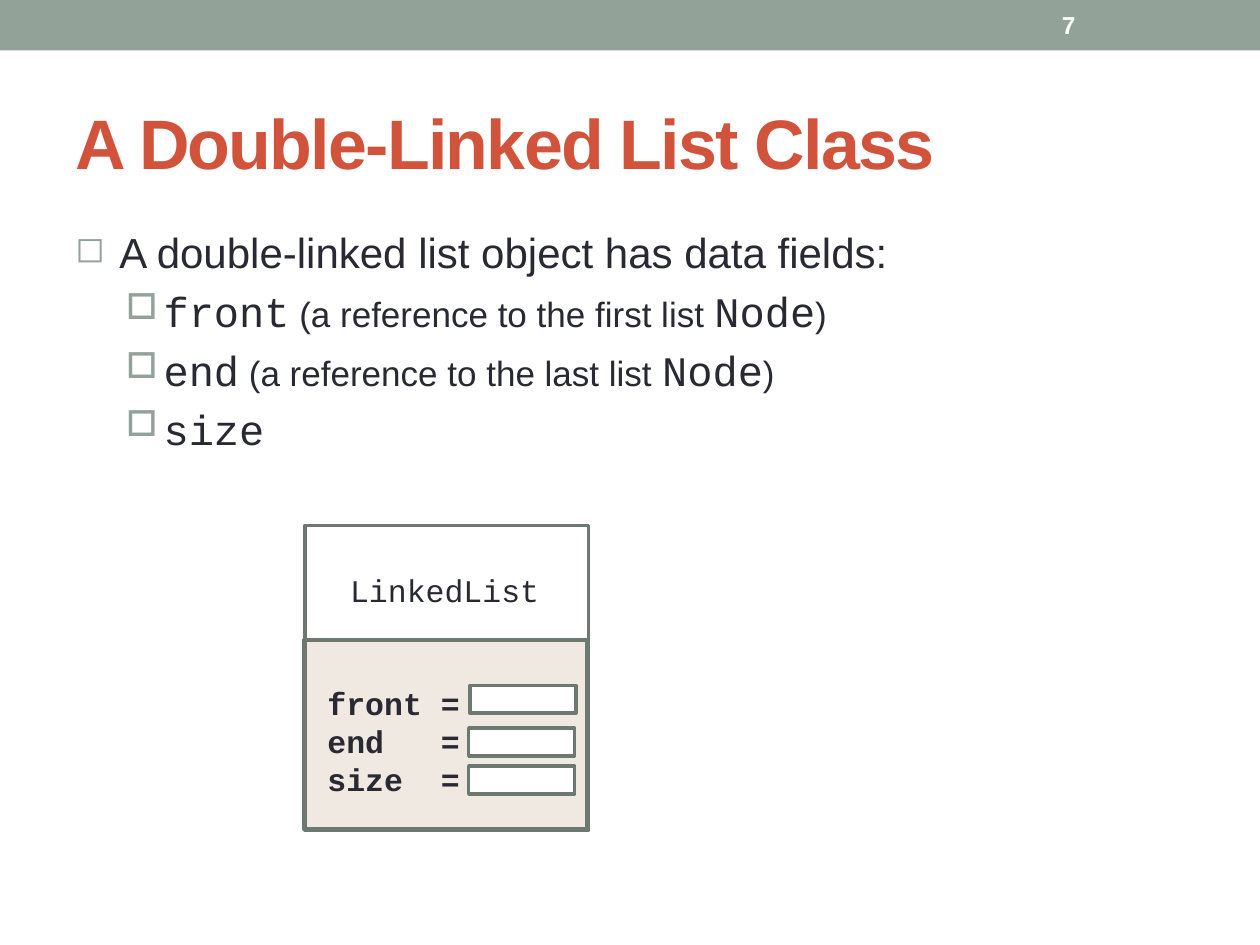
import pptx
import pptx.dml.color
import pptx.enum.shapes
import pptx.enum.text
import pptx.oxml
import pptx.oxml.ns
import pptx.util

Inches = pptx.util.Inches
Pt = pptx.util.Pt
RGBColor = pptx.dml.color.RGBColor
Anchor = pptx.enum.text.MSO_ANCHOR
AutoSize = pptx.enum.text.MSO_AUTO_SIZE

SAGE = RGBColor(0x93, 0xA2, 0x99)
DARK_SAGE = RGBColor(0x6D, 0x78, 0x71)
SAND = RGBColor(0xEF, 0xE9, 0xE1)
RED = RGBColor(0xD2, 0x53, 0x3C)
INK = RGBColor(0x29, 0x29, 0x34)
WHITE = RGBColor(0xFF, 0xFF, 0xFF)

SANS = {"name": "Arial", "size": Pt(24)}
SMALL = {"name": "Arial", "size": Pt(20)}
CODE = {"name": "Courier New", "size": Pt(24)}
LABEL = {"name": "Courier New", "size": Pt(18)}


class SlideBuilder:
    def __init__(self, presentation):
        self.slide = presentation.slides.add_slide(presentation.slide_layouts[6])
        self.line_width = Pt(2.08)

    def rectangle(self, left, top, width, height, fill=None, line=None):
        shape = self.slide.shapes.add_shape(
            pptx.enum.shapes.MSO_SHAPE.RECTANGLE,
            Inches(left), Inches(top), Inches(width), Inches(height))
        shape.shadow.inherit = False
        if fill is None:
            shape.fill.background()
        else:
            shape.fill.solid()
            shape.fill.fore_color.rgb = fill
        if line is None:
            shape.line.fill.background()
        else:
            shape.line.color.rgb = line
            shape.line.width = self.line_width
        return shape

    def text(self, left, top, width, height, paragraphs, color=INK, fill=None, **frame_format):
        shape = self.slide.shapes.add_textbox(
            Inches(left), Inches(top), Inches(width), Inches(height))
        if fill is not None:
            shape.fill.solid()
            shape.fill.fore_color.rgb = fill
        frame = shape.text_frame
        for name, value in {"word_wrap": True, **frame_format}.items():
            setattr(frame, name, value)
        for index, runs in enumerate(paragraphs):
            paragraph = frame.add_paragraph() if index else frame.paragraphs[0]
            for content, font_format in runs:
                run = paragraph.add_run()
                run.text = content
                run.font.color.rgb = color
                for name, value in font_format.items():
                    setattr(run.font, name, value)
        return frame.paragraphs

    def properties(self, paragraph, attributes, markup):
        element = paragraph._p.get_or_add_pPr()
        for name, value in attributes.items():
            element.set(name, str(value))
        namespace = pptx.oxml.ns.nsdecls("a")
        for child in pptx.oxml.parse_xml(f"<a:pPr {namespace}>{markup}</a:pPr>"):
            element.append(child)

    def bullet(self, paragraph, level, character, margin, hanging):
        paragraph.level = level
        self.properties(
            paragraph,
            {"marL": Inches(margin), "indent": -Inches(hanging)},
            '<a:spcBef><a:spcPct val="20000"/></a:spcBef>'
            f'<a:buClr><a:srgbClr val="{SAGE}"/></a:buClr>'
            f'<a:buSzPct val="85000"/><a:buChar char="{character}"/>')

    def tab_stop(self, paragraph, position):
        self.properties(
            paragraph, {},
            f'<a:tabLst><a:tab pos="{Inches(position)}" algn="l"/></a:tabLst>')


def main():
    presentation = pptx.Presentation()
    presentation.slide_width = Inches(10)
    presentation.slide_height = Inches(7.5)
    builder = SlideBuilder(presentation)

    builder.rectangle(0, 0, 10, 0.4, fill=SAGE)
    builder.rectangle(2.41, 5.08, 2.25, 1.5, fill=SAND, line=DARK_SAGE)

    title_font = {"name": "Arial", "size": Pt(40), "bold": True}
    title = builder.text(0.5, 0.58, 9, 1.08, [[("A Double-Linked List Class", title_font)]],
                         color=RED, vertical_anchor=Anchor.MIDDLE)
    title[0].runs[0].font._element.set("spc", "-100")

    body = [[("A double-linked list object has data fields:", SANS)]]
    for field, position in (("front", "first"), ("end", "last")):
        body.append([(field, CODE), (f" (a reference to the {position} list ", SMALL),
                     ("Node", CODE), (")", SMALL)])
    body.append([("size", CODE)])
    heading, *items = builder.text(0.5, 1.75, 9, 5.25, body)
    builder.bullet(heading, 0, "◻", 0.35, 0.35)
    for item in items:
        builder.bullet(item, 1, "□", 0.7, 0.3)

    number_font = {"name": "Arial", "size": Pt(14), "bold": True}
    builder.text(8.33, 0.02, 1.17, 0.36, [[("7", number_font)]],
                 color=WHITE, vertical_anchor=Anchor.MIDDLE)

    builder.rectangle(2.42, 4.17, 2.25, 2.42, line=DARK_SAGE)
    field_font = {**LABEL, "bold": True}
    fields = builder.text(2.5, 5.38, 2.08, 1.01,
                          [[(f"{name}\t=", field_font)] for name in ("front", "end", "size")],
                          fill=SAND, auto_size=AutoSize.SHAPE_TO_FIT_TEXT)
    for field in fields:
        builder.tab_stop(field, 0.9)
    for left, top in ((3.73, 5.44), (3.72, 5.78), (3.72, 6.08)):
        builder.rectangle(left, top, 0.84, 0.22, fill=WHITE, line=DARK_SAGE)
    builder.text(2.68, 4.48, 1.71, 0.4, [[("LinkedList", LABEL)]],
                 word_wrap=False, auto_size=AutoSize.SHAPE_TO_FIT_TEXT)

    presentation.save("out.pptx")


if __name__ == "__main__":
    main()
